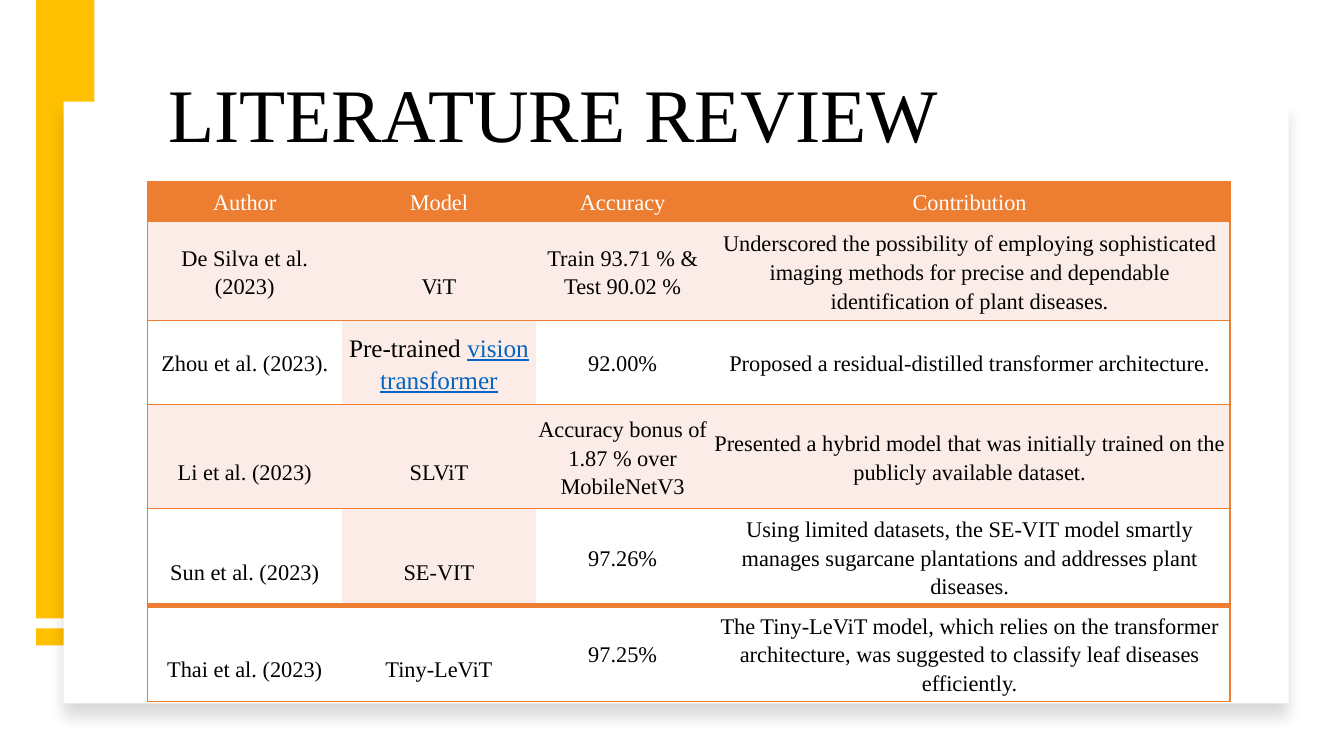
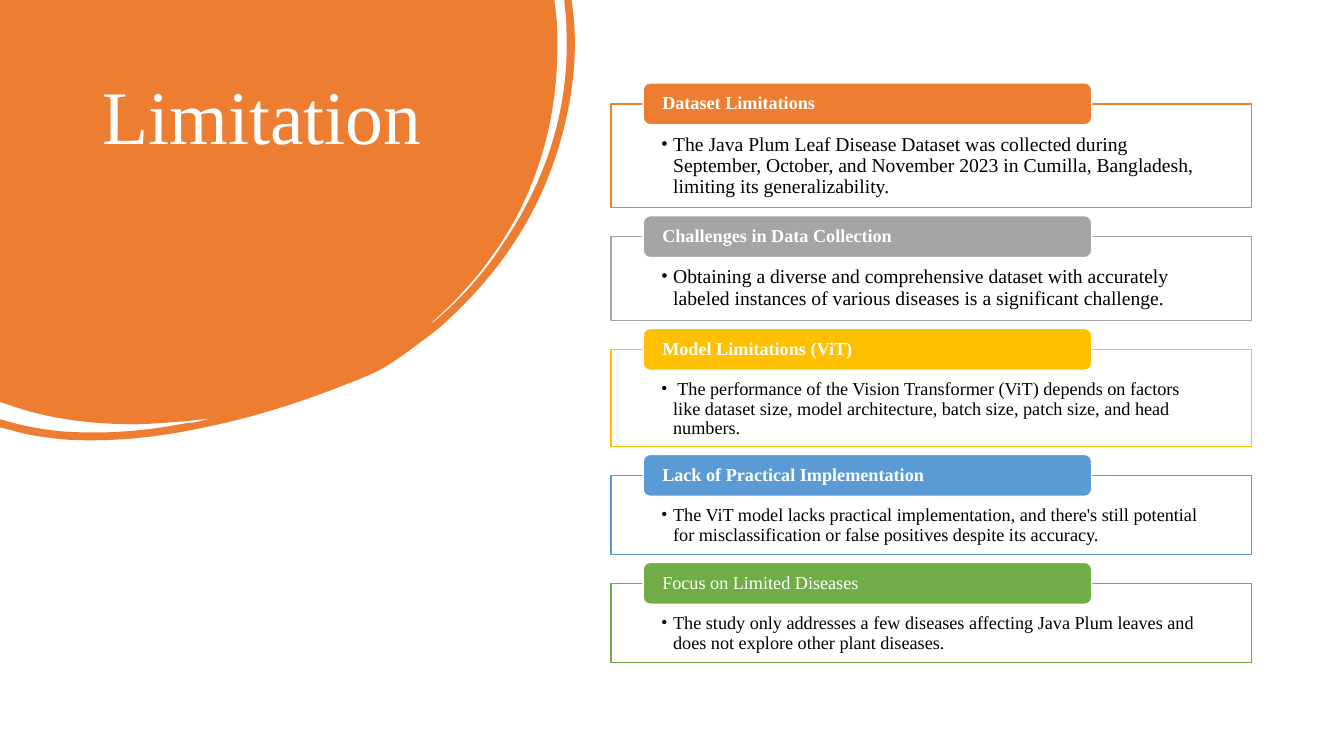
from lxml.etree import SubElement
from pptx import Presentation
from pptx.dml.color import RGBColor
from pptx.enum.shapes import MSO_SHAPE
from pptx.enum.text import MSO_ANCHOR, PP_ALIGN
from pptx.oxml import parse_xml
from pptx.oxml.ns import nsdecls, qn
from pptx.util import Pt

COLORS = {
    "black": "000000", "white": "FFFFFF", "orange": "ED7D31", "gray": "A5A5A5",
    "gold": "FFC000", "blue": "5B9BD5", "green": "70AD47", "blush": "FCECE8",
    "link": "0563C1",
}
FONT = "Times New Roman"
TITLE_FRAME = {"word_wrap": True}
TITLE_PARAGRAPH = {"line_spacing": 0.9}
TITLE_FONT = {"size": Pt(54)}


def add_box(slide, preset, left, top, width, height, fill, line=None):
    shape = slide.shapes.add_shape(preset, Pt(left), Pt(top), Pt(width), Pt(height))
    shape.shadow.inherit = False
    shape.fill.solid()
    shape.fill.fore_color.rgb = RGBColor.from_string(COLORS[fill])
    if line:
        shape.line.color.rgb = RGBColor.from_string(COLORS[line])
        shape.line.width = Pt(1)
    else:
        shape.line.fill.background()
    return shape


def write_text(frame, runs, frame_format, paragraph_format, font_format):
    paragraph = frame.paragraphs[0]
    for target, values in ((frame, frame_format), (paragraph, paragraph_format)):
        for name, value in values.items():
            setattr(target, name, value)
    for text, color in runs:
        run = paragraph.add_run()
        run.text = text
        run.font.name = FONT
        run.font.color.rgb = RGBColor.from_string(COLORS[color])
        run.font.underline = color == "link"
        for name, value in font_format.items():
            setattr(run.font, name, value)
    return paragraph


presentation = Presentation()
presentation.slide_width = Pt(960)
presentation.slide_height = Pt(540)
blank_layout = presentation.slide_layouts[6]

review = presentation.slides.add_slide(blank_layout)
for top, height in ((0, 441.7), (448.8, 12.2)):
    add_box(review, MSO_SHAPE.RECTANGLE, 25.9, top, 41.5, height, "gold")
card = add_box(review, MSO_SHAPE.RECTANGLE, 45.5, 72.5, 875, 430, "white")
effects = card._element.spPr.find(qn("a:effectLst"))
shadow = SubElement(effects, qn("a:outerShdw"), blurRad=str(Pt(11)), dist=str(Pt(10)),
                    dir="5400000", algn="t", rotWithShape="0")
shadow_color = SubElement(shadow, qn("a:srgbClr"), val=COLORS["black"])
SubElement(shadow_color, qn("a:alpha"), val="15000")

title = review.shapes.add_textbox(Pt(113), Pt(10.5), Pt(775.5), Pt(106.4))
write_text(title.text_frame, [("LITERATURE REVIEW", "black")],
           TITLE_FRAME | {"vertical_anchor": MSO_ANCHOR.BOTTOM}, TITLE_PARAGRAPH, TITLE_FONT)

HEADINGS = ["Author", "Model", "Accuracy", "Contribution"]
STUDIES = [
    ["De Silva et al. (2023)", "ViT", "Train 93.71 % & Test 90.02 %",
     "Underscored the possibility of employing sophisticated imaging methods for precise "
     "and dependable identification of plant diseases."],
    ["Zhou et al. (2023).", "Pre-trained vision transformer", "92.00%",
     "Proposed a residual-distilled transformer architecture."],
    ["Li et al. (2023)", "SLViT", "Accuracy bonus of 1.87 % over MobileNetV3",
     "Presented a hybrid model that was initially trained on the publicly available dataset."],
    ["Sun et al. (2023)", "SE-VIT", "97.26%",
     "Using limited datasets, the SE-VIT model smartly manages sugarcane plantations and "
     "addresses plant diseases."],
    ["Thai et al. (2023)", "Tiny-LeViT", "97.25%",
     "The Tiny-LeViT model, which relies on the transformer architecture, was suggested to "
     "classify leaf diseases efficiently."],
]
ROW_FILLS = ["orange", "blush", "white", "blush", "white", "white"]
BLUSH_CELLS = {(2, 1), (4, 1)}
LOWERED_CELLS = {(1, 1), (3, 0), (3, 1), (4, 0), (4, 1), (5, 0), (5, 1)}
LINKED_CELL = (2, 1)
COLUMN_WIDTHS = [139, 138.5, 124, 371.8]
ROW_HEIGHTS = [28.8, 70.6, 60.2, 74.2, 64.4, 64.4]
NO_STYLE = "{2D5ABB26-0587-4C30-8999-92F81FD0307C}"
CELL_MARGIN = 1.44
LOWERED_MARGIN = 22

table = review.shapes.add_table(
    len(ROW_HEIGHTS), len(COLUMN_WIDTHS), Pt(105.3), Pt(129.5),
    Pt(sum(COLUMN_WIDTHS)), Pt(sum(ROW_HEIGHTS))).table
table._tbl.tblPr.find(qn("a:tableStyleId")).text = NO_STYLE
for column, width in zip(table.columns, COLUMN_WIDTHS):
    column.width = Pt(width)
for row, height in zip(table.rows, ROW_HEIGHTS):
    row.height = Pt(height)

last_row, last_column = len(STUDIES), len(HEADINGS) - 1
for row_index, texts in enumerate([HEADINGS] + STUDIES):
    for column_index, text in enumerate(texts):
        position = (row_index, column_index)
        cell = table.cell(*position)
        cell.fill.solid()
        fill = "blush" if position in BLUSH_CELLS else ROW_FILLS[row_index]
        cell.fill.fore_color.rgb = RGBColor.from_string(COLORS[fill])
        cell.vertical_anchor = MSO_ANCHOR.MIDDLE
        for side in ("left", "right", "top", "bottom"):
            setattr(cell, f"margin_{side}", Pt(CELL_MARGIN))
        if position in LOWERED_CELLS:
            cell.margin_top = Pt(LOWERED_MARGIN)

        runs = [(text, "white" if row_index == 0 else "black")]
        if position == LINKED_CELL:
            runs = [("Pre-trained ", "black"), ("vision", "link"), (" ", "black"),
                    ("transformer", "link")]
        write_text(cell.text_frame, runs, {},
                   {"alignment": PP_ALIGN.CENTER, "line_spacing": 1.15},
                   {"size": Pt(18 if position == LINKED_CELL else 16)})

        borders = {
            "lnL": 1 if column_index == 0 else 0,
            "lnR": 1 if column_index == last_column else 0,
            "lnT": 4 if row_index == last_row else 1,
            "lnB": 4 if row_index == last_row - 1 else 1,
        }
        properties = cell._tc.get_or_add_tcPr()
        visible = [(tag, width) for tag, width in borders.items() if width]
        for index, (tag, width) in enumerate(visible):
            properties.insert(index, parse_xml(
                f'<a:{tag} {nsdecls("a")} w="{Pt(width)}"><a:solidFill>'
                f'<a:srgbClr val="{COLORS["orange"]}"/></a:solidFill></a:{tag}>'))

limitation = presentation.slides.add_slide(blank_layout)

BLOB_OUTLINE = [
    (5.5, 0), (5.52, 0.17),
    (5.53, 0.26, 5.53, 0.36, 5.53, 0.45),
    (5.53, 1.01, 5.42, 1.54, 5.18, 2.04),
    (4.96, 2.49, 4.65, 2.88, 4.27, 3.21),
    (4.29, 3.21, 4.3, 3.19, 4.32, 3.18),
    (4.59, 2.95, 4.82, 2.69, 5.01, 2.39),
    (5.43, 1.76, 5.65, 1.07, 5.62, 0.3),
    (5.62, 0.21, 5.61, 0.12, 5.6, 0.03),
    (5.6, 0), (5.67, 0), (5.68, 0.07),
    (5.74, 0.54, 5.68, 1.02, 5.53, 1.5),
    (5.33, 2.14, 4.97, 2.68, 4.48, 3.14),
    (4.39, 3.23, 4.29, 3.31, 4.19, 3.38),
    (4.09, 3.46, 3.99, 3.53, 3.87, 3.61),
    (3.75, 3.69, 3.6, 3.75, 3.44, 3.81),
    (2.99, 3.99, 2.52, 4.14, 2.03, 4.24),
    (1.57, 4.34, 1.1, 4.39, 0.63, 4.36),
    (0.45, 4.34, 0.28, 4.32, 0.12, 4.27),
    (0, 4.24), (0, 4.16), (0.04, 4.17),
    (0.23, 4.23, 0.42, 4.26, 0.61, 4.28),
    (1.03, 4.31, 1.43, 4.28, 1.84, 4.2),
    (1.89, 4.2, 1.93, 4.19, 1.98, 4.18),
    (2.02, 4.17, 2.06, 4.16, 2.1, 4.15),
    (1.86, 4.18, 1.61, 4.2, 1.36, 4.21),
    (0.92, 4.21, 0.48, 4.16, 0.07, 4.01),
    (0, 3.99),
]
UNITS = 100
builder = limitation.shapes.build_freeform(0, 0, scale=Pt(72) / UNITS)
builder.add_line_segments([(segment[-2] * UNITS, segment[-1] * UNITS)
                           for segment in BLOB_OUTLINE], close=True)
blob = builder.convert_to_shape()
blob.shadow.inherit = False
blob.fill.solid()
blob.fill.fore_color.rgb = RGBColor.from_string(COLORS["orange"])
blob.line.fill.background()
edges = list(blob._element.iter(qn("a:lnTo")))
for edge, segment in zip(edges, BLOB_OUTLINE):
    if len(segment) == 6:
        edge.tag = qn("a:cubicBezTo")
        for index in (0, 2):
            control = edge.makeelement(qn("a:pt"), {
                "x": str(round(segment[index] * UNITS)),
                "y": str(round(segment[index + 1] * UNITS))})
            edge.insert(index // 2, control)

title = limitation.shapes.add_textbox(Pt(66.2), Pt(53.3), Pt(253.4), Pt(159.8))
write_text(title.text_frame, [("Limitation", "white")],
           TITLE_FRAME | {"vertical_anchor": MSO_ANCHOR.TOP}, TITLE_PARAGRAPH, TITLE_FONT)

LIMITATIONS = [
    ("Dataset Limitations", "orange", 74.2, 14, True,
     "The Java Plum Leaf Disease Dataset was collected during September, October, and "
     "November 2023 in Cumilla, Bangladesh, limiting its generalizability."),
    ("Challenges in Data Collection", "gray", 59.8, 14, True,
     "Obtaining a diverse and comprehensive dataset with accurately labeled instances of "
     "various diseases is a significant challenge."),
    ("Model Limitations (ViT)", "gold", 69.3, 13, True,
     " The performance of the Vision Transformer (ViT) depends on factors like dataset size, "
     "model architecture, batch size, patch size, and head numbers."),
    ("Lack of Practical Implementation", "blue", 56.4, 13, True,
     "The ViT model lacks practical implementation, and there's still potential for "
     "misclassification or false positives despite its accuracy."),
    ("Focus on Limited Diseases", "green", 56.4, 13, False,
     "The study only addresses a few diseases affecting Java Plum leaves and does not "
     "explore other plant diseases."),
]
PANEL_GAP = 20.7
LABEL_RISE = 15
BULLET_INDENT = Pt(8.64)
PANEL_FRAME = {"word_wrap": True, "vertical_anchor": MSO_ANCHOR.TOP,
               "margin_left": Pt(35.9), "margin_right": Pt(35.3),
               "margin_top": Pt(21.6), "margin_bottom": Pt(7.2)}
LABEL_FRAME = {"word_wrap": True, "vertical_anchor": MSO_ANCHOR.MIDDLE,
               "margin_left": Pt(12.2), "margin_right": Pt(12.2),
               "margin_top": 0, "margin_bottom": 0}
LEFT_PARAGRAPH = {"alignment": PP_ALIGN.LEFT, "line_spacing": 0.9}

panel_top = 74.2
for heading, color, height, size, bold, detail in LIMITATIONS:
    panel = add_box(limitation, MSO_SHAPE.RECTANGLE, 436.3, panel_top, 457.7, height,
                    "white", color)
    paragraph = write_text(panel.text_frame, [(detail, "black")], PANEL_FRAME,
                           LEFT_PARAGRAPH, {"size": Pt(size)})
    properties = paragraph._p.get_or_add_pPr()
    properties.set("marL", str(BULLET_INDENT))
    properties.set("indent", str(-BULLET_INDENT))
    SubElement(properties, qn("a:buFont"), typeface=FONT)
    SubElement(properties, qn("a:buChar"), char="•")
    SubElement(paragraph._p, qn("a:endParaRPr"), sz=str(size * 100))

    label = add_box(limitation, MSO_SHAPE.ROUNDED_RECTANGLE, 459.4, panel_top - LABEL_RISE,
                    320.4, 30, color, "white")
    write_text(label.text_frame, [(heading, "white")], LABEL_FRAME, LEFT_PARAGRAPH,
               {"size": Pt(13), "bold": bold})
    panel_top += height + PANEL_GAP

presentation.save("out.pptx")
